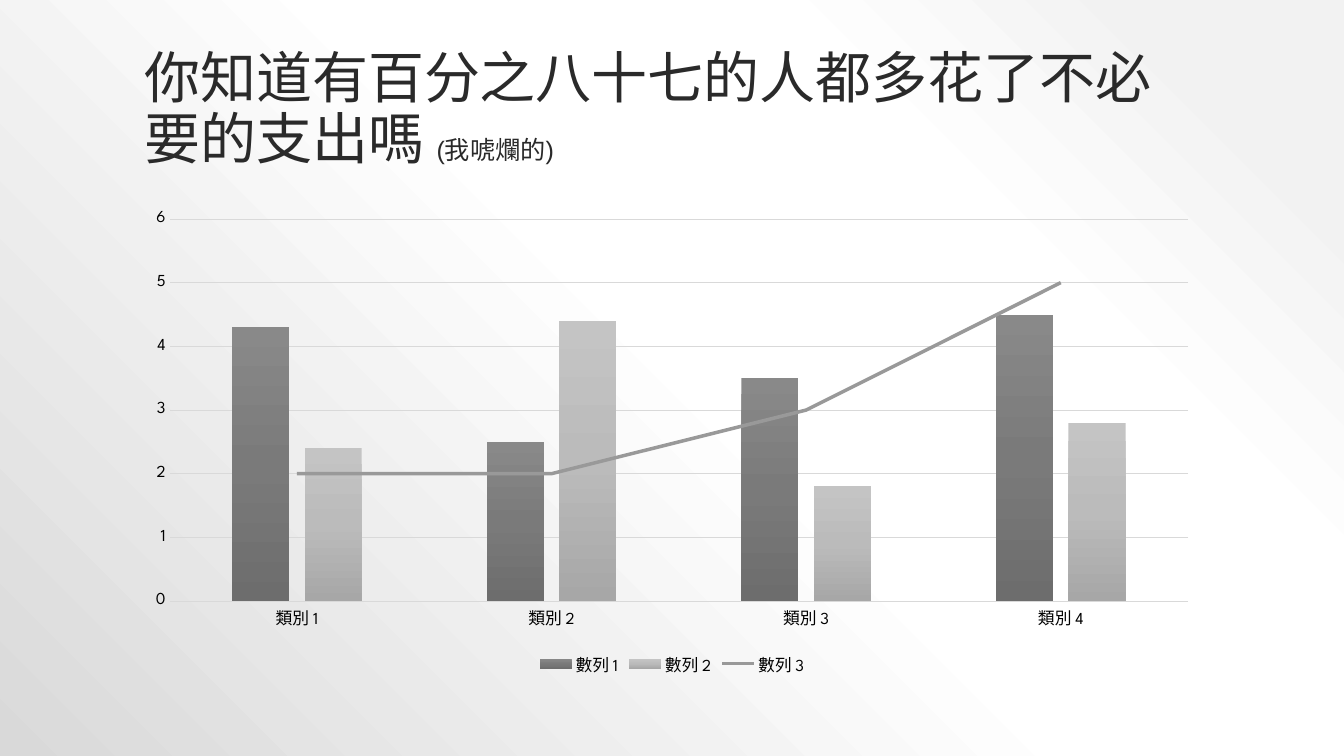
from pptx import Presentation
from pptx.chart.data import CategoryChartData
from pptx.dml.color import RGBColor
from pptx.enum.chart import XL_CHART_TYPE, XL_LEGEND_POSITION, XL_MARKER_STYLE, XL_TICK_MARK
from pptx.enum.text import MSO_ANCHOR
from pptx.oxml import parse_xml
from pptx.oxml.ns import nsdecls
from pptx.util import Pt

COLUMNS = XL_CHART_TYPE.COLUMN_CLUSTERED
LEGEND_BOTTOM = XL_LEGEND_POSITION.BOTTOM
NO_MARKER = XL_MARKER_STYLE.NONE
NO_TICK = XL_TICK_MARK.NONE
BOTTOM = MSO_ANCHOR.BOTTOM

CATEGORIES = ["類別 1", "類別 2", "類別 3", "類別 4"]
SERIES = {
    "數列 1": [4.3, 2.5, 3.5, 4.5],
    "數列 2": [2.4, 4.4, 1.8, 2.8],
    "數列 3": [2, 2, 3, 5],
}
COLUMN_STOPS = [
    [(0, "898989"), (50, "7A7A7A"), (100, "6D6D6D")],
    [(0, "C4C4C4"), (50, "BBBBBB"), (100, "A7A7A7")],
]
BACKGROUND_STOPS = [(10, "F2F2F2"), (28, "FFFFFF"), (48, "FFFFFF"), (100, "D9D9D9")]
DOWNWARD = '<a:lin ang="5400000" scaled="0"/>'
FROM_TOP_RIGHT = '<a:path path="circle"><a:fillToRect l="100000" b="100000"/></a:path>'


def rgb(color):
    return RGBColor.from_string(color)


def gradient_xml(stops, direction):
    gs = "".join(
        f'<a:gs pos="{pos * 1000}"><a:srgbClr val="{color}"/></a:gs>' for pos, color in stops
    )
    return (
        f'<a:gradFill {nsdecls("a")} rotWithShape="1">'
        f"<a:gsLst>{gs}</a:gsLst>{direction}</a:gradFill>"
    )


def set_font(font, name, size, color):
    font.name = name
    font.size = Pt(size)
    font.color.rgb = rgb(color)


def add_run(p, text, *, name="Arial", size=40, color="2A2A2A"):
    r = p.add_run()
    r.text = text
    set_font(r.font, name, size, color)


def move_last_series_to_line(chart):
    """Turn the last column series into a line on the same axes."""
    bar = chart.element.xpath(".//c:barChart")[0]
    ser = bar.xpath("c:ser")[-1]
    for node in ser.xpath("c:invertIfNegative"):
        ser.remove(node)
    line = parse_xml(
        f'<c:lineChart {nsdecls("c")}><c:grouping val="standard"/>'
        '<c:varyColors val="0"/><c:marker val="1"/></c:lineChart>'
    )
    line.insert(2, ser)
    for ax in bar.xpath("c:axId"):
        line.append(parse_xml(f'<c:axId {nsdecls("c")} val="{ax.get("val")}"/>'))
    bar.addnext(line)


class SlideBuilder:
    chart_font = "League Spartan"
    label = ("League Spartan", 12, "000000")
    rule_color = "D9D9D9"
    line_color = "999999"

    def __init__(self, s):
        self.s = s

    def background(self, stops):
        fill = gradient_xml(stops, FROM_TOP_RIGHT)
        self.s.element.cSld.insert(0, parse_xml(
            f'<p:bg {nsdecls("p", "a")}><p:bgPr>{fill}<a:effectLst/></p:bgPr></p:bg>'
        ))

    def title(self, text, aside, x, y, w, h):
        tf = self.s.shapes.add_textbox(Pt(x), Pt(y), Pt(w), Pt(h)).text_frame
        tf.word_wrap = True
        tf.vertical_anchor = BOTTOM
        p = tf.paragraphs[0]
        p.line_spacing = 0.9
        add_run(p, text)
        add_run(p, aside, size=18)

    def rule(self, line):
        line.color.rgb = rgb(self.rule_color)
        line.width = Pt(0.75)

    def axes(self, chart):
        for axis in (chart.category_axis, chart.value_axis):
            axis.major_tick_mark = axis.minor_tick_mark = NO_TICK
            set_font(axis.tick_labels.font, *self.label)
        self.rule(chart.category_axis.format.line)
        value = chart.value_axis
        value.minimum_scale, value.maximum_scale, value.major_unit = 0, 6, 1
        value.format.line.fill.background()
        value.has_major_gridlines = True
        self.rule(value.major_gridlines.format.line)

    def combo_chart(self, x, y, w, h):
        data = CategoryChartData()
        data.categories = CATEGORIES
        for name, values in SERIES.items():
            data.add_series(name, values)
        chart = self.s.shapes.add_chart(COLUMNS, Pt(x), Pt(y), Pt(w), Pt(h), data).chart
        chart.has_title = False
        set_font(chart.font, self.chart_font, 10, "545454")
        move_last_series_to_line(chart)
        columns, lines = chart.plots
        columns.gap_width = 219
        columns.overlap = -27
        columns.vary_by_categories = False

        for ser in columns.series:
            ser.format.fill.solid()
        solids = chart.element.xpath(".//c:barChart/c:ser/c:spPr/a:solidFill")
        for solid, stops in zip(solids, COLUMN_STOPS):
            solid.getparent().replace(solid, parse_xml(gradient_xml(stops, DOWNWARD)))

        trend = lines.series[0]
        trend.smooth = False
        trend.marker.style = NO_MARKER
        trend.format.line.color.rgb = rgb(self.line_color)
        trend.format.line.width = Pt(2.5)

        self.axes(chart)
        chart.has_legend = True
        chart.legend.position = LEGEND_BOTTOM
        chart.legend.include_in_layout = False
        set_font(chart.legend.font, *self.label)


def main():
    prs = Presentation()
    prs.slide_width, prs.slide_height = Pt(960), Pt(540)
    slide = SlideBuilder(prs.slides.add_slide(prs.slide_layouts[6]))
    slide.background(BACKGROUND_STOPS)
    slide.title("你知道有百分之八十七的人都多花了不必要的支出嗎 ", "(我唬爛的)", 96, 21.6, 768, 104.4)
    slide.combo_chart(96, 144, 768, 342)
    prs.save("out.pptx")


if __name__ == "__main__":
    main()
